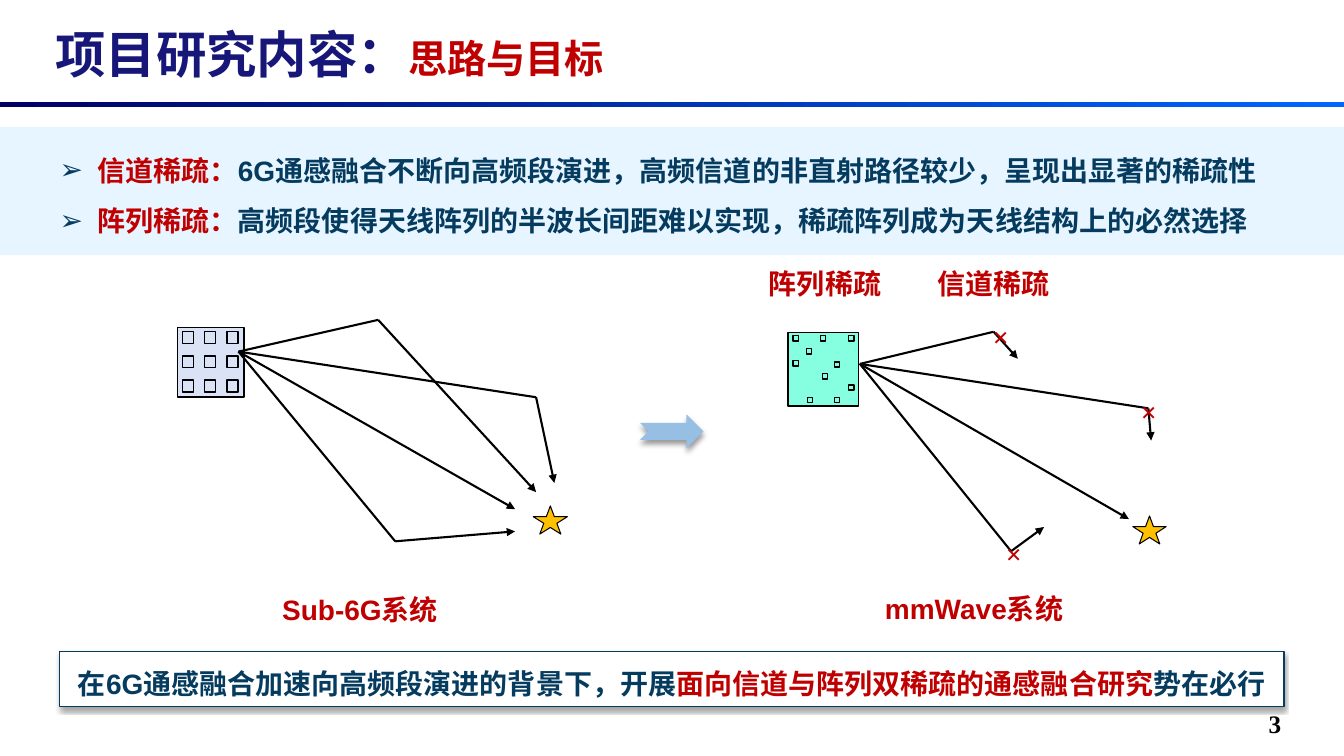
from dataclasses import dataclass
from itertools import product

from lxml import etree
from pptx import Presentation
from pptx.dml.color import RGBColor
from pptx.enum.shapes import MSO_CONNECTOR, MSO_SHAPE
from pptx.enum.text import MSO_ANCHOR, MSO_AUTO_SIZE, PP_ALIGN
from pptx.oxml.ns import qn
from pptx.util import Cm, Pt

RECT, STAR = MSO_SHAPE.RECTANGLE, MSO_SHAPE.STAR_5_POINT
NOTCHED_ARROW = MSO_SHAPE.NOTCHED_RIGHT_ARROW
STRAIGHT = MSO_CONNECTOR.STRAIGHT
TOP, MIDDLE = MSO_ANCHOR.TOP, MSO_ANCHOR.MIDDLE
LEFT, CENTER, JUSTIFY = PP_ALIGN.LEFT, PP_ALIGN.CENTER, PP_ALIGN.JUSTIFY
NO_FIT = MSO_AUTO_SIZE.NONE
WIDTH, HEIGHT = 33.87, 19.05


@dataclass(frozen=True)
class Theme:
    title_font: str = "Montserrat"
    body_font: str = "Arial"
    serif_font: str = "Times New Roman"
    title_size: int = 36
    subtitle_size: int = 28
    body_size: int = 20
    number_size: int = 18
    navy: str = "17177A"
    red: str = "C00000"
    ink: str = "053B5F"
    black: str = "000000"
    white: str = "FFFFFF"
    band: str = "E6F5FF"
    bar_from: str = "000066"
    bar_to: str = "0066FF"
    dense_array: str = "DAE3F5"
    sparse_array: str = "85FFE0"
    star: str = "FFC000"
    arrow: str = "97BFE4"


def rgb(value):
    return RGBColor.from_string(value)


def set_all(target, values):
    for name, value in values.items():
        setattr(target, name, value)


class SlideBuilder:
    def __init__(self, prs, theme):
        self.theme = theme
        self.s = prs.slides.add_slide(prs.slide_layouts[1])
        self.canvas = self.s.shapes

    def start_group(self):
        self.canvas = self.s.shapes.add_group_shape().shapes

    def end_group(self):
        self.canvas = self.s.shapes

    def place(self, sp, box):
        set_all(sp, dict(zip(("left", "top", "width", "height"), map(Cm, box))))

    def add_runs(self, p, runs, font=None, size=None):
        """Add (text, colour[, size]) runs to a paragraph."""
        for text, color, *own_size in runs:
            r = p.add_run()
            r.text = text
            set_all(r.font, {
                "name": font or self.theme.body_font, "bold": True,
                "size": Pt(own_size[0] if own_size else size or self.theme.body_size)})
            r.font.color.rgb = rgb(color)

    def title(self, box, runs):
        sp = self.s.shapes.title
        self.place(sp, box)
        set_all(sp.text_frame, {"vertical_anchor": MIDDLE, "auto_size": NO_FIT})
        p = sp.text_frame.paragraphs[0]
        p.alignment = LEFT
        self.add_runs(p, runs, self.theme.title_font)

    def bullets(self, box, items, fill):
        sp = self.s.placeholders[1]
        self.place(sp, box)
        sp.fill.solid()
        sp.fill.fore_color.rgb = rgb(fill)
        tf = sp.text_frame
        set_all(tf, {"vertical_anchor": MIDDLE, "auto_size": NO_FIT,
                     "margin_left": Cm(1.5), "margin_top": 0,
                     "margin_right": Cm(0.79), "margin_bottom": Cm(0.2)})
        for i, runs in enumerate(items):
            p = tf.add_paragraph() if i else tf.paragraphs[0]
            set_all(p, {"line_spacing": 1.5, "space_before": Pt(0), "alignment": LEFT})
            pPr = p._p.get_or_add_pPr()
            pPr.set("marL", str(Cm(0.96)))
            pPr.set("indent", str(-Cm(0.96)))
            color = etree.SubElement(pPr, qn("a:buClr"))
            etree.SubElement(color, qn("a:srgbClr"), val=self.theme.ink)
            etree.SubElement(pPr, qn("a:buFont"), typeface=self.theme.body_font)
            etree.SubElement(pPr, qn("a:buChar"), char="➢")
            self.add_runs(p, runs)

    def text(self, box, runs, font=None, size=None, anchor=TOP, **paragraph):
        sp = self.canvas.add_textbox(*map(Cm, box))
        set_all(sp.text_frame, {"word_wrap": True, "vertical_anchor": anchor})
        p = sp.text_frame.paragraphs[0]
        set_all(p, paragraph)
        self.add_runs(p, runs, font, size)

    def shape(self, kind, box, fill, line=None, width=1):
        sp = self.canvas.add_shape(kind, *map(Cm, box))
        sp.shadow.inherit = False
        sp.fill.solid()
        sp.fill.fore_color.rgb = rgb(fill)
        if line:
            sp.line.color.rgb = rgb(line)
            sp.line.width = Pt(width)
        else:
            sp.line.fill.background()
        return sp

    def gradient_bar(self, box, colors):
        sp = self.shape(RECT, box, colors[0])
        sp.fill.gradient()
        sp.fill.gradient_angle = 0
        for stop, color in zip(sp.fill.gradient_stops, colors):
            stop.color.rgb = rgb(color)

    def drop_shadow(self, sp, alpha, blur, dist):
        effects = sp._element.spPr.find(qn("a:effectLst"))
        shadow = etree.SubElement(
            effects, qn("a:outerShdw"), blurRad=str(Pt(blur)), dist=str(Pt(dist)),
            dir="5400000", algn="t", rotWithShape="0")
        color = etree.SubElement(shadow, qn("a:srgbClr"), val=self.theme.black)
        etree.SubElement(color, qn("a:alpha"), val=str(alpha * 1000))

    def ray(self, points):
        """Join the points with lines and put an arrowhead on the last one."""
        for start, end in zip(points, points[1:]):
            line = self.canvas.add_connector(STRAIGHT, *map(Cm, start + end))
            line.line.color.rgb = rgb(self.theme.black)
            line.line.width = Pt(1.5)
            spPr = line._element.spPr
            if end == points[-1]:
                etree.SubElement(spPr.find(qn("a:ln")), qn("a:tailEnd"), type="triangle")
            etree.SubElement(spPr, qn("a:effectLst"))

    def system(self, panel, cells, cell_size, fill, hub, rays, star, crosses=()):
        """Draw an antenna array, its propagation paths and the target star."""
        black = self.theme.black
        self.start_group()
        self.shape(RECT, panel, fill, black)
        for cell in cells:
            self.shape(RECT, cell + cell_size, fill, black)
        for points in rays:
            self.ray([hub, *points])
        self.shape(STAR, star, self.theme.star, black, 0.75)
        for corner in crosses:
            self.text(corner + (1.14, 1.22), [("×", self.theme.red)],
                      self.theme.serif_font, anchor=MIDDLE,
                      alignment=JUSTIFY, line_spacing=1.25)
        self.end_group()


def main():
    prs = Presentation()
    prs.slide_width, prs.slide_height = Cm(WIDTH), Cm(HEIGHT)
    t = Theme()
    b = SlideBuilder(prs, t)

    b.title((1.14, 0.61, 24.28, 1.47),
            [("项目研究内容：", t.navy, t.title_size),
             ("思路与目标", t.red, t.subtitle_size)])
    b.gradient_bar((0, 2.56, WIDTH, 0.13), (t.bar_from, t.bar_to))
    b.bullets((0, 3.2, WIDTH, 3.23), [
        [("信道稀疏：", t.red),
         ("6G通感融合不断向高频段演进，高频信道的非直射路径较少，呈现出显著的稀疏性", t.ink)],
        [("阵列稀疏：", t.red),
         ("高频段使得天线阵列的半波长间距难以实现，稀疏阵列成为天线结构上的必然选择", t.ink)],
    ], t.band)

    conclusion = b.shape(RECT, (1.5, 16.41, 30.86, 1.4), t.white, t.ink, 0.75)
    b.drop_shadow(conclusion, 35, 3.1, 1.8)
    conclusion.text_frame.vertical_anchor = MIDDLE
    p = conclusion.text_frame.paragraphs[0]
    set_all(p, {"alignment": CENTER, "line_spacing": 1.25})
    b.add_runs(p, [("在6G通感融合加速向高频段演进的背景下，开展", t.ink),
                   ("面向信道与阵列双稀疏的通感融合研究", t.red),
                   ("势在必行", t.ink)])

    grid = [(4.6 + 0.56 * col, 8.36 + 0.61 * row) for col, row in product(range(3), repeat=2)]
    b.system((4.47, 8.26, 1.68, 1.75), grid, (0.28, 0.3), t.dense_array, (6.01, 8.86),
             [[(9.53, 8.06), (13.51, 12.4)], [(13.51, 10.01), (13.97, 12.17)],
              [(12.98, 12.83)], [(9.96, 13.64), (12.98, 13.39)]],
             (13.44, 12.75, 0.86, 0.71))

    scattered = [(19.99, 8.46), (20.68, 8.46), (21.39, 8.46), (20.32, 8.79), (19.99, 9.09),
                 (21.03, 9.12), (20.73, 9.42), (21.39, 9.7), (20.35, 10.01), (21.03, 10.01)]
    b.system((19.86, 8.38, 1.78, 1.85), scattered, (0.13, 0.13), t.sparse_array, (21.67, 9.17),
             [[(28.45, 13.08)], [(25.04, 8.36), (25.65, 9.04)],
              [(28.94, 10.29), (29.01, 11.1)], [(25.48, 13.89), (26.31, 13.28)]],
             (28.55, 13.0, 0.84, 0.71),
             [(24.77, 7.77), (28.5, 9.65), (25.1, 13.23)])

    arrow = b.shape(NOTCHED_ARROW, (16.13, 10.44, 1.6, 0.86), t.arrow)
    b.drop_shadow(arrow, 40, 4, 3)

    for label, left, top, width in [
            ("阵列稀疏", 19.13, 6.6, 4.39), ("信道稀疏", 23.37, 6.6, 4.39),
            ("Sub-6G系统", 6.86, 14.81, 5.13), ("mmWave系统", 22.05, 14.78, 5.87)]:
        b.text((left, top, width, 1.12), [(label, t.red)])
    b.text((31.72, 17.73, 1.85, 0.99), [("3", t.black)], t.serif_font, t.number_size)

    prs.save("out.pptx")


if __name__ == "__main__":
    main()
